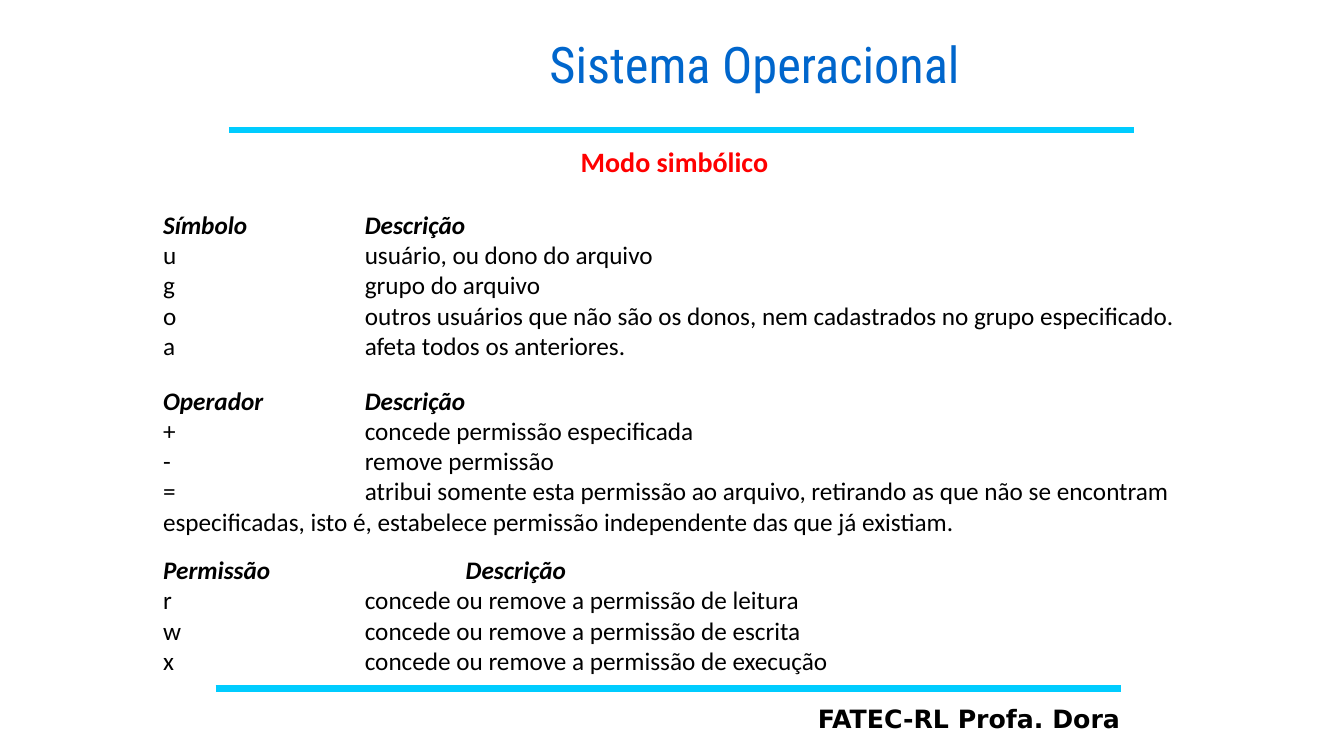
from lxml import etree
from pptx import Presentation
from pptx.dml.color import RGBColor
from pptx.enum.shapes import MSO_CONNECTOR
from pptx.enum.text import PP_ALIGN
from pptx.oxml.ns import qn
from pptx.util import Inches, Pt

STRAIGHT = MSO_CONNECTOR.STRAIGHT
LEFT, CENTER = PP_ALIGN.LEFT, PP_ALIGN.CENTER

CYAN = RGBColor(0x00, 0xCC, 0xFF)
BLUE = RGBColor(0x00, 0x66, 0xCC)
RED = RGBColor(0xFF, 0x00, 0x00)
BLACK = RGBColor(0x00, 0x00, 0x00)

deck = Presentation()
deck.slide_width, deck.slide_height = Inches(13.33), Inches(7.5)
page = deck.slides.add_slide(deck.slide_layouts[6])

# Lengths are percentages of the slide's width and height
across, down = deck.slide_width / 100, deck.slide_height / 100


def add_box(left, top, width, height):
    box = page.shapes.add_textbox(int(left * across), int(top * down),
                                  int(width * across), int(height * down))
    box.text_frame.word_wrap = True
    return box.text_frame


def add_text(para, text, font="Calibri", size=18, color=BLACK,
             bold=False, italic=False, align=LEFT):
    para.alignment = align
    # Tab stops stand one inch apart
    para._p.get_or_add_pPr().set("defTabSz", str(Inches(1)))
    for number, line in enumerate(text.split("\n")):
        if number:
            para.add_line_break()
        span = para.add_run()
        span.text = line
        span.font.name, span.font.size = font, Pt(size)
        span.font.bold, span.font.italic = bold, italic
        span.font.color.rgb = color


# Rules under the title and above the footer
for start, end, height in [(17.03, 84.4, 17.2), (16.05, 83.42, 91.07)]:
    rule = page.shapes.add_connector(STRAIGHT, int(start * across), int(height * down),
                                     int(end * across), int(height * down))
    rule.line.color.rgb = CYAN
    rule.line.width = Pt(4.5)
    etree.SubElement(rule.element.spPr, qn("a:effectLst"))

# Title and footer
title = add_box(29.26, 3.73, 53.79, 10.53)
add_text(title.paragraphs[0], "Sistema Operacional", "Roboto Condensed", 36, BLUE,
         align=CENTER)
footer = add_box(58.21, 92.4, 27.76, 5.33)
add_text(footer.paragraphs[0], "FATEC-RL Profa. Dora", "DejaVu Sans", bold=True,
         align=CENTER)

# Symbol, operator and permission lists: top, width, height, heading, entries
lists = [
    (18.5, 77.57, 30.13, "Símbolo", [
        ("u", "usuário, ou dono do arquivo"),
        ("g", "grupo do arquivo"),
        ("o", "outros usuários que não são os donos, "
              "nem cadastrados no grupo especificado."),
        ("a", "afeta todos os anteriores."),
    ]),
    (50.27, 87.4, 21.6, "Operador", [
        ("+", "concede permissão especificada"),
        ("-", "remove permissão"),
        ("=", "atribui somente esta permissão ao arquivo, retirando as que não se encontram\n"
              "especificadas, isto é, estabelece permissão independente das que já existiam."),
    ]),
    (72.67, 66.77, 17.47, "Permissão", [
        ("r", "concede ou remove a permissão de leitura"),
        ("w", "concede ou remove a permissão de escrita"),
        ("x", "concede ou remove a permissão de execução"),
    ]),
]
for top, width, height, heading, entries in lists:
    frame = add_box(11.4, top, width, height)
    para = frame.paragraphs[0]
    if heading == "Símbolo":
        add_text(para, "Modo simbólico", size=20, color=RED, bold=True, align=CENTER)
        para = frame.add_paragraph()
        para.space_before = Pt(22)
    add_text(para, heading + "\t\tDescrição", bold=True, italic=True)
    for symbol, meaning in entries:
        add_text(frame.add_paragraph(), symbol + "\t\t" + meaning)

deck.save("out.pptx")
